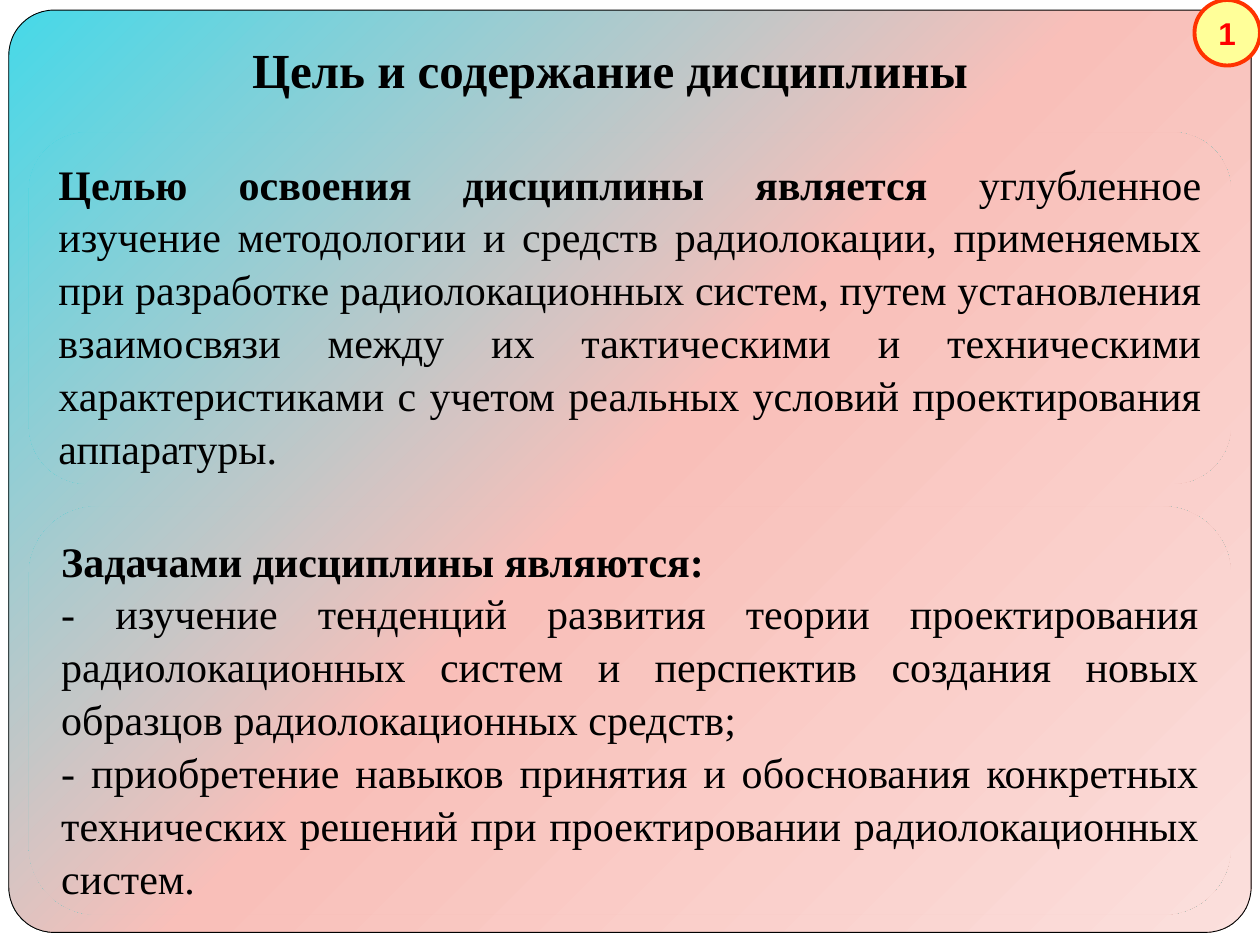
"""Build the slide on the goal and tasks of the course."""
from copy import deepcopy

from pptx import Presentation
from pptx.dml.color import RGBColor
from pptx.enum.shapes import MSO_SHAPE
from pptx.enum.text import MSO_ANCHOR, MSO_AUTO_SIZE, PP_ALIGN
from pptx.util import Inches, Pt

RECT, ROUND, OVAL = MSO_SHAPE.RECTANGLE, MSO_SHAPE.ROUNDED_RECTANGLE, MSO_SHAPE.OVAL
TOP, MIDDLE = MSO_ANCHOR.TOP, MSO_ANCHOR.MIDDLE
LEFT, CENTER, JUSTIFY = PP_ALIGN.LEFT, PP_ALIGN.CENTER, PP_ALIGN.JUSTIFY
GROW, FIXED = MSO_AUTO_SIZE.SHAPE_TO_FIT_TEXT, MSO_AUTO_SIZE.NONE
WHITE = RGBColor(0xFF, 0xFF, 0xFF)
BLACK = RGBColor(0x00, 0x00, 0x00)
RED = RGBColor(0xFF, 0x00, 0x00)
ORANGE = RGBColor(0xFF, 0x33, 0x00)
YELLOW = RGBColor(0xFF, 0xFF, 0x99)
CYAN = RGBColor(0x43, 0xD9, 0xE9)
PINK = RGBColor(0xF9, 0xBF, 0xB9)
PALE = RGBColor(0xFB, 0xE0, 0xDD)
SERIF = "Times New Roman"


def add_box(kind, at, fill=None, line=None, width=0):
    box = slide.shapes.add_shape(kind, *map(Inches, at))
    box.shadow.inherit = False
    if fill is None:
        box.element.set("useBgFill", "1")
    else:
        box.fill.solid()
        box.fill.fore_color.rgb = fill
    if line is None:
        box.line.fill.background()
    else:
        box.line.color.rgb = line
        box.line.width = Pt(width)
    return box


def write(shape, paras, frame, align, font, space=1.05):
    text = shape.text_frame
    for name, value in frame.items():
        setattr(text, name, value)
    for i, runs in enumerate(paras):
        para = text.add_paragraph() if i else text.paragraphs[0]
        para.alignment = align
        para.line_spacing = space
        for words, bold in runs:
            run = para.add_run()
            run.text = words
            run.font.bold = bold
            run.font.color.rgb = font["color"]
            for name in ("name", "size"):
                setattr(run.font, name, font[name])


deck = Presentation()
deck.slide_width, deck.slide_height = Inches(10), Inches(7.5)
slide = deck.slides.add_slide(deck.slide_layouts[5])

back = slide.background.fill
back.gradient()
back.gradient_angle = 315
stops = slide.element.xpath(".//a:gsLst")[0]
stops.insert(1, deepcopy(stops[0]))
for stop, color, place in zip(back.gradient_stops, (CYAN, PINK, PALE), (0, 0.5, 1)):
    stop.color.rgb = color
    stop.position = place

add_box(RECT, (0, 0, 10, 7.5), WHITE)
card = add_box(ROUND, (0.07, 0.08, 9.86, 7.32), line=BLACK, width=0.5)
card.adjustments[0] = 0.049

badge = add_box(OVAL, (9.48, 0, 0.52, 0.52), YELLOW, ORANGE, 2.25)
write(badge, [[("1", True)]],
      {"vertical_anchor": MIDDLE, "word_wrap": False, "auto_size": FIXED},
      CENTER, {"name": "Arial", "size": Pt(18), "color": RED}, 1.0)

goal = [[
    ("Целью освоения дисциплины является", True),
    (" углубленное изучение методологии и средств радиолокации, применяемых "
     "при разработке радиолокационных систем, путем установления взаимосвязи "
     "между их тактическими и техническими характеристиками с учетом реальных "
     "условий проектирования аппаратуры.", False),
]]
tasks = [
    [("Задачами дисциплины являются:", True)],
    [("- изучение тенденций развития теории проектирования радиолокационных "
      "систем и перспектив создания новых образцов радиолокационных средств;", False)],
    [("- приобретение навыков принятия и обоснования конкретных технических "
      "решений при проектировании радиолокационных систем.", False)],
]
for top, height, paras in ((1.05, 2.79, goal), (4.02, 3.24, tasks)):
    panel = add_box(ROUND, (0.23, top, 9.54, height))
    write(panel, paras,
          {"vertical_anchor": TOP, "word_wrap": True, "auto_size": GROW},
          JUSTIFY, {"name": SERIF, "size": Pt(24), "color": BLACK})

title = slide.shapes.title
title.left, title.top, title.width, title.height = map(Inches, (1.9, 0.24, 5.94, 0.57))
write(title, [[("Цель и содержание дисциплины", True)]],
      {"vertical_anchor": TOP, "word_wrap": False, "auto_size": GROW},
      LEFT, {"name": SERIF, "size": Pt(28), "color": BLACK})
slide.shapes.element.append(title.element)

deck.save("out.pptx")
